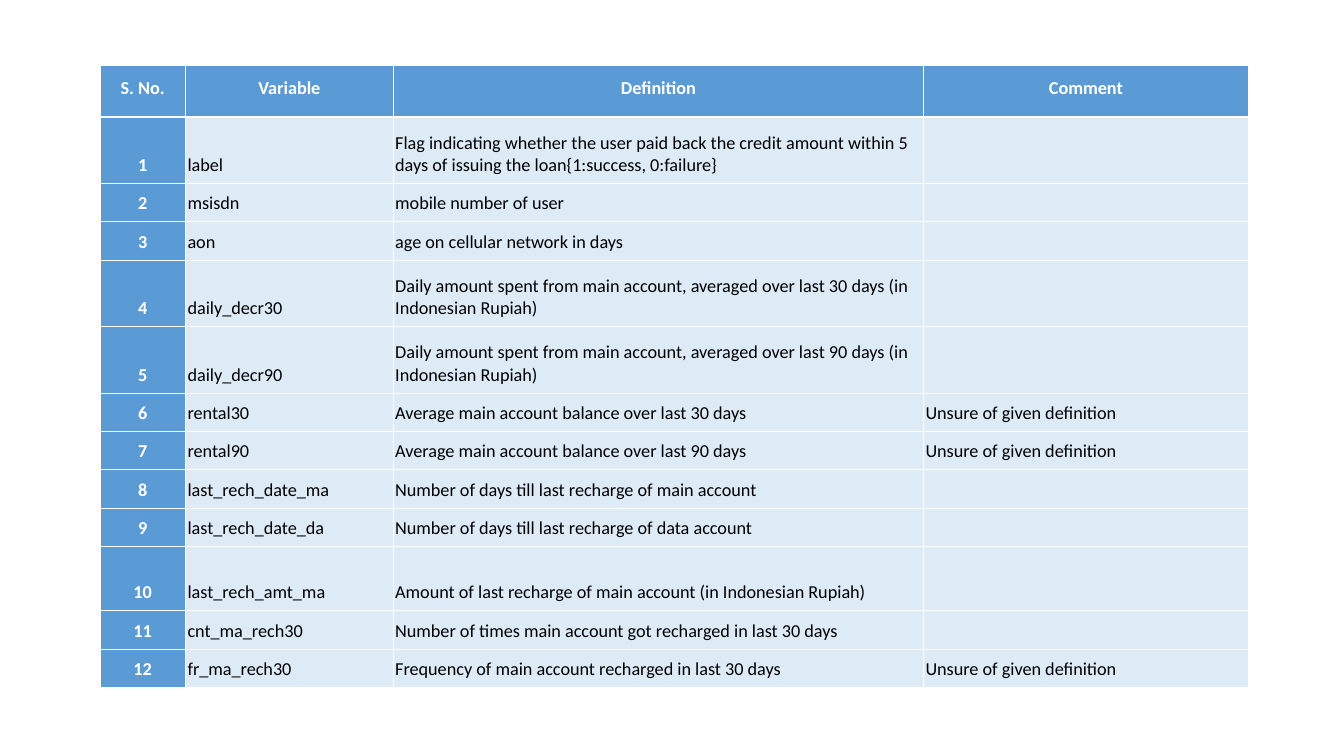
from dataclasses import dataclass

from lxml import etree
from pptx import Presentation
from pptx.dml.color import RGBColor
from pptx.enum.text import MSO_ANCHOR, PP_ALIGN
from pptx.oxml.ns import qn
from pptx.util import Inches, Pt

MIDDLE, BOTTOM = MSO_ANCHOR.MIDDLE, MSO_ANCHOR.BOTTOM
CENTER, LEFT = PP_ALIGN.CENTER, PP_ALIGN.LEFT


@dataclass(frozen=True)
class Theme:
    font: str = "Calibri"
    text_size: float = 13
    heading_fill: str = "5B9BD5"
    heading_text: str = "FFFFFF"
    body_fill: str = "DDEBF7"
    body_text: str = "000000"
    border: str = "FFFFFF"
    thin_border: float = 0.5
    thick_border: float = 1.5


theme = Theme()
UNSURE = "Unsure of given definition"
SHORT_ROW, TALL_ROW = 0.38, 0.66
headings = ("S. No.", "Variable", "Definition", "Comment")
column_widths = (0.85, 2.06, 5.26, 3.22)
variables = [
    ("label", "Flag indicating whether the user paid back the credit amount within 5 "
     "days of issuing the loan{1:success, 0:failure}", "", TALL_ROW),
    ("msisdn", "mobile number of user", "", SHORT_ROW),
    ("aon", "age on cellular network in days", "", SHORT_ROW),
    ("daily_decr30", "Daily amount spent from main account, averaged over last 30 days "
     "(in Indonesian Rupiah)", "", TALL_ROW),
    ("daily_decr90", "Daily amount spent from main account, averaged over last 90 days "
     "(in Indonesian Rupiah)", "", TALL_ROW),
    ("rental30", "Average main account balance over last 30 days", UNSURE, SHORT_ROW),
    ("rental90", "Average main account balance over last 90 days", UNSURE, SHORT_ROW),
    ("last_rech_date_ma", "Number of days till last recharge of main account", "", SHORT_ROW),
    ("last_rech_date_da", "Number of days till last recharge of data account", "", SHORT_ROW),
    ("last_rech_amt_ma", "Amount of last recharge of main account (in Indonesian Rupiah)",
     "", 0.64),
    ("cnt_ma_rech30", "Number of times main account got recharged in last 30 days", "",
     SHORT_ROW),
    ("fr_ma_rech30", "Frequency of main account recharged in last 30 days", UNSURE, SHORT_ROW),
]
rows = [(*headings, 0.51)]
rows += [(str(number), *variable) for number, variable in enumerate(variables, 1)]


def add_border(cell, side, width):
    line = etree.SubElement(cell._tc.get_or_add_tcPr(), qn(f"a:ln{side}"), w=str(Pt(width)))
    fill = etree.SubElement(line, qn("a:solidFill"))
    etree.SubElement(fill, qn("a:srgbClr"), val=theme.border)


presentation = Presentation()
presentation.slide_width = Inches(13.33)
presentation.slide_height = Inches(7.5)
slide = presentation.slides.add_slide(presentation.slide_layouts[6])

table_height = sum(row[-1] for row in rows)
table = slide.shapes.add_table(
    len(rows), len(headings), Inches(0.99), Inches(0.65),
    Inches(sum(column_widths)), Inches(table_height),
).table
table.horz_banding = False
for column, width in zip(table.columns, column_widths):
    column.width = Inches(width)

for row_index, (*texts, height) in enumerate(rows):
    table.rows[row_index].height = Inches(height)
    for column_index, text in enumerate(texts):
        cell = table.cell(row_index, column_index)
        is_heading = row_index == 0 or column_index == 0
        for side in "LRTB":
            under_header = (row_index, side) in ((0, "B"), (1, "T"))
            add_border(cell, side, theme.thick_border if under_header else theme.thin_border)
        cell.fill.solid()
        cell.fill.fore_color.rgb = RGBColor.from_string(
            theme.heading_fill if is_heading else theme.body_fill)
        cell.margin_left = cell.margin_right = cell.margin_top = Inches(0.02)
        cell.margin_bottom = Inches(0.07 if text else 0.02)
        cell.vertical_anchor = MIDDLE if row_index == 0 else BOTTOM
        paragraph = cell.text_frame.paragraphs[0]
        if text:
            paragraph.text = text
        paragraph.alignment = CENTER if is_heading else LEFT
        paragraph.font.name = theme.font
        paragraph.font.size = Pt(theme.text_size)
        paragraph.font.bold = is_heading
        paragraph.font.color.rgb = RGBColor.from_string(
            theme.heading_text if is_heading else theme.body_text)

presentation.save("out.pptx")
